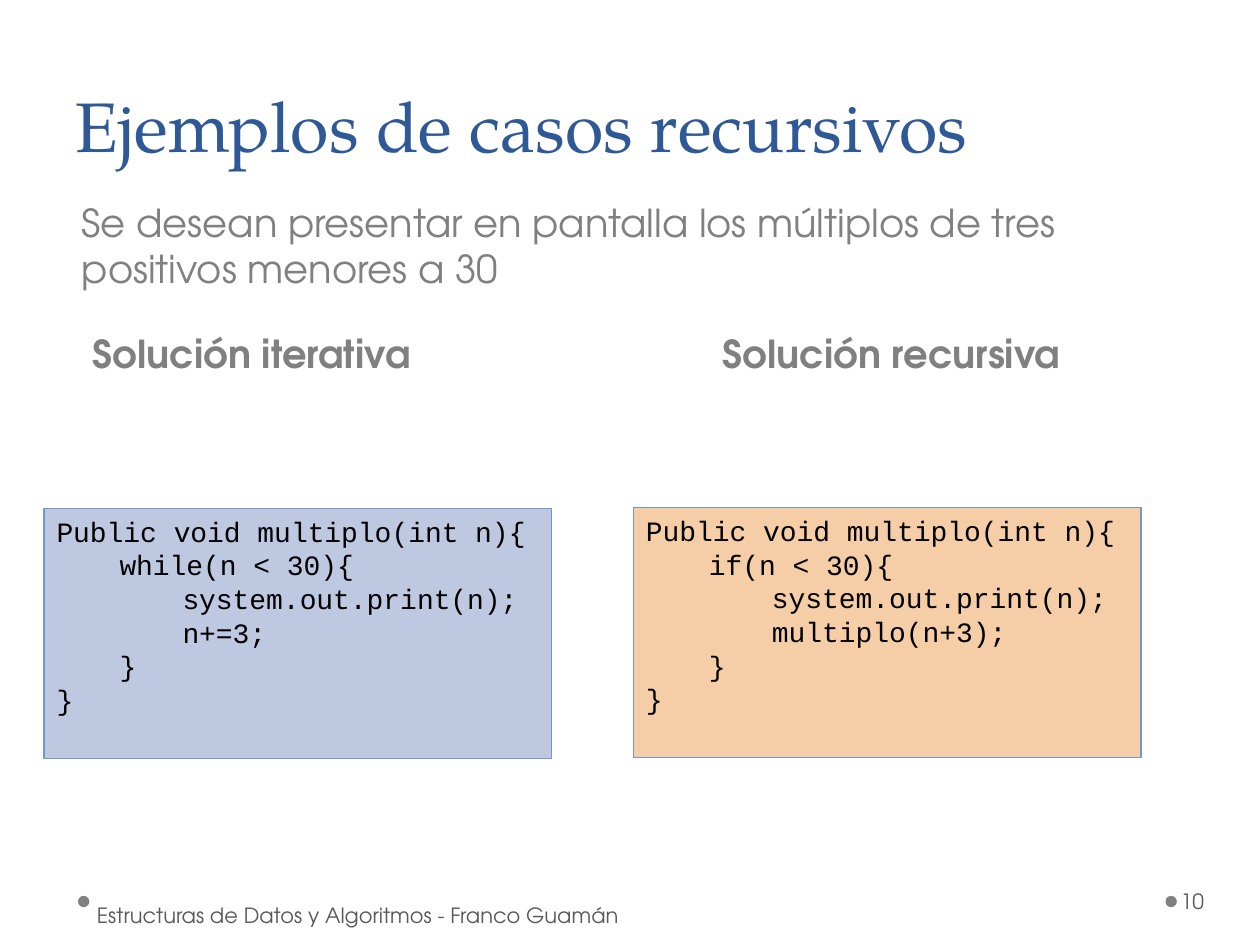
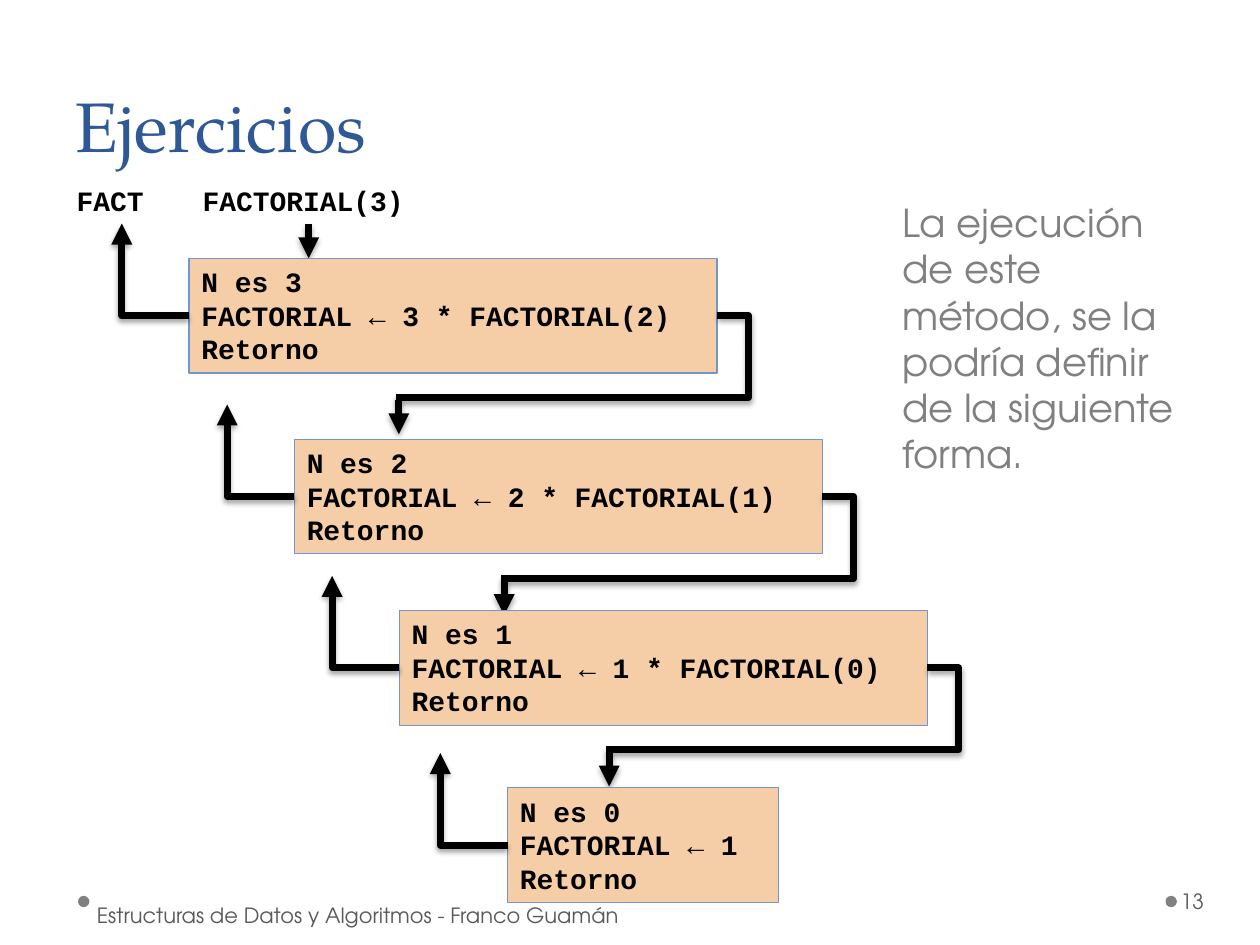
from lxml import etree
from pptx import Presentation
from pptx.dml.color import RGBColor
from pptx.enum.shapes import MSO_CONNECTOR, MSO_SHAPE
from pptx.enum.text import MSO_ANCHOR, MSO_AUTO_SIZE, PP_ALIGN
from pptx.oxml.ns import qn
from pptx.util import Pt

TOP, MIDDLE, BOTTOM = MSO_ANCHOR.TOP, MSO_ANCHOR.MIDDLE, MSO_ANCHOR.BOTTOM
LEFT = PP_ALIGN.LEFT
NO_AUTOFIT = MSO_AUTO_SIZE.NONE
RECTANGLE, OVAL = MSO_SHAPE.RECTANGLE, MSO_SHAPE.OVAL
STRAIGHT, ELBOW = MSO_CONNECTOR.STRAIGHT, MSO_CONNECTOR.ELBOW

COLORS = {
    "title": "2F5897",
    "body": "808080",
    "footer": "595959",
    "black": "000000",
    "blue_box": "BFC8E1",
    "orange_box": "F5CEA7",
    "box_line": "7097D3",
}
TITLE_FONT, BODY_FONT, CODE_FONT = "TeX Gyre Pagella", "TeX Gyre Adventor", "Courier New"
TITLE_BOX = (36, 29.5, 666, 69)
FOOTER_TEXT = "Estructuras de Datos y Algoritmos - Franco Guamán"

ITERATIVE_CODE = [
    "Public void multiplo(int n){",
    "\twhile(n < 30){",
    "\t\tsystem.out.print(n);",
    "\t\tn+=3;",
    "\t}",
    "}",
]
RECURSIVE_CODE = [
    "Public void multiplo(int n){",
    "\tif(n < 30){",
    "\t\tsystem.out.print(n);",
    "\t\tmultiplo(n+3);",
    "\t}",
    "}",
]
CALL_SIZE, BASE_CASE_SIZE = (301.7, 65.5), (154.8, 65.5)
CALLS = [  # n, left, top, right side of the assignment
    (3, 108, 147.6, "3 * FACTORIAL(2)"),
    (2, 168.2, 251, "2 * FACTORIAL(1)"),
    (1, 228.2, 348.9, "1 * FACTORIAL(0)"),
    (0, 290, 450.2, "1"),
]


def rgb(name):
    return RGBColor.from_string(COLORS[name])


def points(values):
    return [Pt(value) for value in values]


def place(shape, box):
    shape.left, shape.top, shape.width, shape.height = points(box)


def write(frame, lines, font, size, color, bold=False, anchor=TOP, tabs=()):
    """Fill a text frame, one paragraph a line, with tab stops in points."""
    frame.word_wrap = True
    frame.auto_size = NO_AUTOFIT
    frame.vertical_anchor = anchor
    for number, line in enumerate(lines):
        paragraph = frame.add_paragraph() if number else frame.paragraphs[0]
        paragraph.alignment = LEFT
        run = paragraph.add_run()
        run.text = line
        run.font.name, run.font.size, run.font.bold = font, Pt(size), bold
        run.font.color.rgb = rgb(color)
        if tabs:
            tab_list = etree.SubElement(paragraph._p.get_or_add_pPr(), qn("a:tabLst"))
            for stop in tabs:
                etree.SubElement(tab_list, qn("a:tab"), pos=str(Pt(stop)), algn="l")


def add_label(slide, box, line, font, size, color, insets=(7.2, 3.6, 7.2, 3.6), **style):
    label = slide.shapes.add_textbox(*points(box))
    frame = label.text_frame
    (frame.margin_left, frame.margin_top,
     frame.margin_right, frame.margin_bottom) = points(insets)
    write(frame, [line], font, size, color, **style)
    return frame.paragraphs[0]


def add_code_box(slide, box, lines, fill, bold=False):
    code = slide.shapes.add_shape(RECTANGLE, *points(box))
    code.shadow.inherit = False
    code.fill.solid()
    code.fill.fore_color.rgb = rgb(fill)
    code.line.color.rgb = rgb("box_line")
    code.line.width = Pt(0.75)
    write(code.text_frame, lines, CODE_FONT, 16, "black", bold, tabs=(36, 72))


def add_footer(slide, number):
    for left in (44.6, 666):
        dot = slide.shapes.add_shape(OVAL, *points((left, 511.9, 6.5, 6.5)))
        dot.shadow.inherit = False
        dot.fill.solid()
        dot.fill.fore_color.rgb = rgb("body")
        dot.line.fill.background()
    add_label(slide, (51.8, 517, 338.4, 12.2), FOOTER_TEXT, BODY_FONT, 12, "footer",
              (3.6, 3.6, 7.2, 3.6), anchor=MIDDLE)
    add_label(slide, (672.5, 500.4, 43.9, 28.8), str(number), BODY_FONT, 12, "footer",
              (2.2, 3.6, 3.6, 3.6), anchor=MIDDLE)


def start_slide(deck, title, body, body_box, number):
    """Add a slide with its title, body text and footer."""
    slide = deck.slides.add_slide(deck.slide_layouts[1])
    heading, content = slide.placeholders
    place(heading, TITLE_BOX)
    write(heading.text_frame, [title], TITLE_FONT, 40, "title", anchor=BOTTOM)
    heading.text_frame.paragraphs[0].line_spacing = Pt(58)
    place(content, body_box)
    write(content.text_frame, [body], BODY_FONT, 22, "body")
    properties = content.text_frame.paragraphs[0]._p.get_or_add_pPr()
    properties.set("marL", "0")
    properties.set("indent", "0")
    etree.SubElement(properties, qn("a:buNone"))
    add_footer(slide, number)
    return slide


def add_flow_line(slide, kind, start, end, arrow=True):
    """Draw a thick black line with a soft shadow below it."""
    flow = slide.shapes.add_connector(kind, *points(start + end))
    flow.line.color.rgb = rgb("black")
    flow.line.width = Pt(4)
    if arrow:
        etree.SubElement(flow.line._get_or_add_ln(), qn("a:tailEnd"), type="triangle")
    effects = etree.SubElement(flow._element.spPr, qn("a:effectLst"))
    shadow = etree.SubElement(effects, qn("a:outerShdw"), blurRad=str(Pt(3.1)),
                              dist=str(Pt(1.8)), dir="5400000", rotWithShape="0")
    shade = etree.SubElement(shadow, qn("a:srgbClr"), val=COLORS["black"])
    etree.SubElement(shade, qn("a:alpha"), val="35000")
    return flow


def add_return_arrow(slide, left, middle):
    """Lead left from the box edge, then up to the caller."""
    arrow = add_flow_line(slide, ELBOW, (left - 38.4, middle - 52.6), (left, middle))
    properties = arrow._element.spPr
    properties.find(qn("a:xfrm")).set("rot", "10800000")
    properties.find(qn("a:prstGeom")).set("prst", "bentConnector2")


def add_call_arrow(slide, right, middle):
    """Lead out of the right edge, back under the box and down to the next call."""
    turn = (right - 183.6, middle + 46.8)
    hook = add_flow_line(slide, ELBOW, (right, middle), turn, arrow=False)
    geometry = hook._element.spPr.find(qn("a:prstGeom"))
    adjustments = geometry.find(qn("a:avLst"))
    if adjustments is None:
        adjustments = etree.SubElement(geometry, qn("a:avLst"))
    etree.SubElement(adjustments, qn("a:gd"), name="adj1", fmla="val -9800")
    x, y = turn[0] + 1.8, turn[1] + 1.4
    add_flow_line(slide, STRAIGHT, (x, y), (x, y + 19.6))


def add_call(slide, n, left, top, value):
    width, height = CALL_SIZE if n else BASE_CASE_SIZE
    lines = [f"N es {n}", f"FACTORIAL ← {value}", "Retorno"]
    add_code_box(slide, (left, top, width, height), lines, "orange_box", bold=True)
    middle = top + height / 2
    add_return_arrow(slide, left, middle)
    if n:
        add_call_arrow(slide, left + width, middle)


def build_examples(deck):
    slide = start_slide(
        deck, "Ejemplos de casos recursivos",
        "Se desean presentar en pantalla los múltiplos de tres positivos menores a 30",
        (39.6, 110.2, 645, 62), 10)
    solutions = add_label(slide, (46, 185, 589, 34.6),
                          "Solución iterativa\t\t\tSolución recursiva",
                          BODY_FONT, 22, "body", bold=True, tabs=(216, 288, 360))
    solutions.space_before = Pt(4.4)
    add_code_box(slide, (25.2, 290.4, 290, 143), ITERATIVE_CODE, "blue_box")
    add_code_box(slide, (362, 290, 290, 143), RECURSIVE_CODE, "orange_box")


def build_exercises(deck):
    slide = start_slide(
        deck, "Ejercicios",
        "La ejecución de este método, se la podría definir de la siguiente forma.",
        (508.3, 110.2, 185.8, 179.3), 13)
    add_label(slide, (36.7, 101.5, 252, 26.6), "FACT\tFACTORIAL(3)",
              CODE_FONT, 16, "black", bold=True, tabs=(72,))
    add_flow_line(slide, STRAIGHT, (176.4, 128.2), (176.4, 147.6))
    for call in CALLS:
        add_call(slide, *call)


def main():
    deck = Presentation()
    deck.slide_width, deck.slide_height = Pt(720), Pt(540)
    build_examples(deck)
    build_exercises(deck)
    deck.save("out.pptx")


if __name__ == "__main__":
    main()
